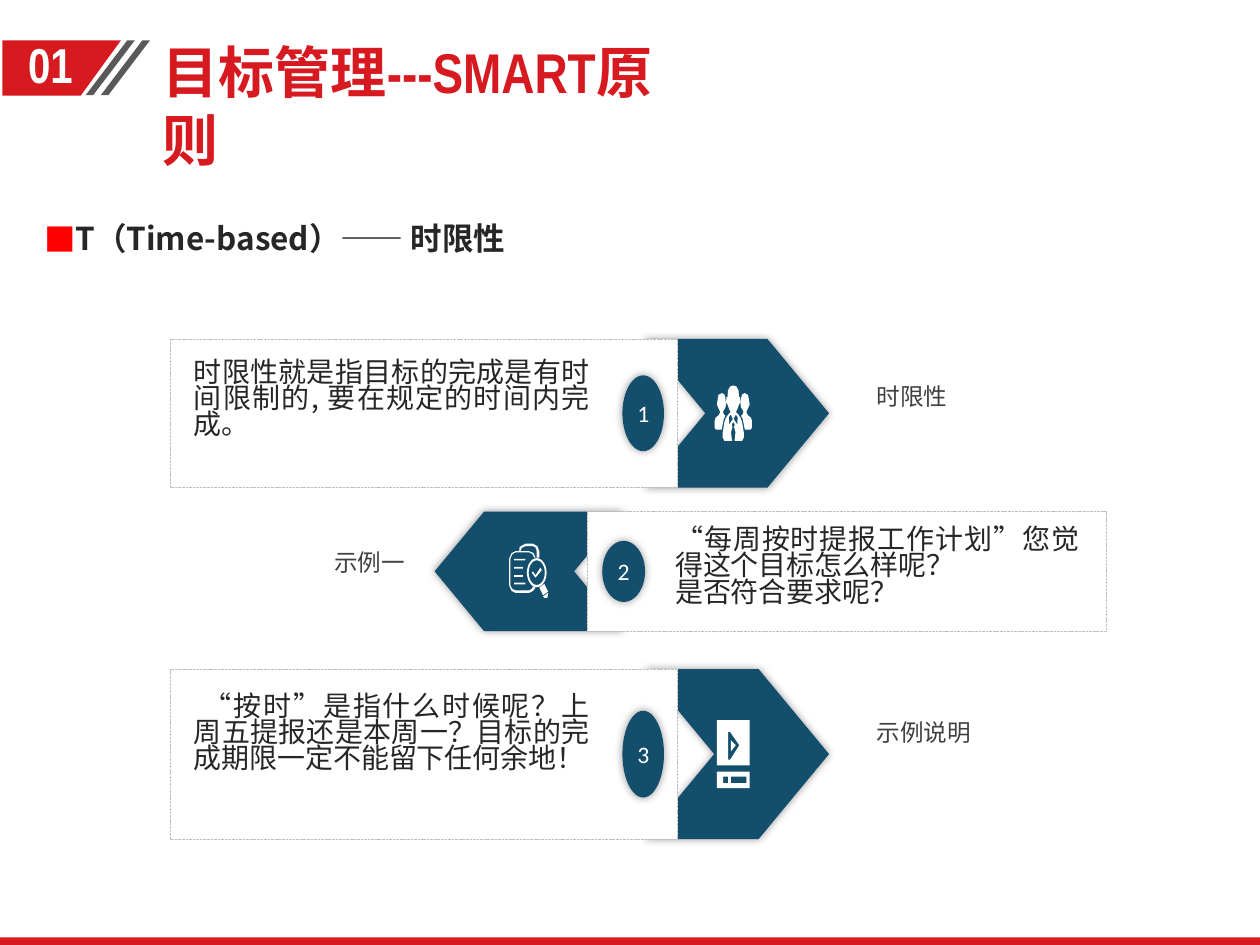
import math
from dataclasses import dataclass

from pptx import Presentation, util as u
from pptx.dml.color import RGBColor
from pptx.enum import dml, shapes, text
from pptx.oxml import parse_xml
from pptx.oxml.ns import nsdecls

SHAPE = shapes.MSO_SHAPE
ALIGN = text.PP_ALIGN


@dataclass(frozen=True)
class Theme:
    red: str = "D71920"
    bullet: str = "FF0000"
    navy: str = "134E6C"
    stripe: str = "595959"
    ink: str = "262626"
    label_ink: str = "404040"
    border: str = "BFBFBF"
    white: str = "FFFFFF"
    heading_font: str = "Arial Narrow"
    body_font: str = "Noto Sans CJK SC"
    badge_font: str = "Calibri"
    title_size: float = 32
    section_size: float = 28
    topic_size: float = 18
    body_size: float = 16
    label_size: float = 13.5


@dataclass(frozen=True)
class RowLayout:
    chevron: tuple
    card: tuple
    badge: tuple
    body: tuple
    label: tuple
    icon_x: float
    label_align: ALIGN
    flipped: bool


POINTS_RIGHT = RowLayout((5.11, 1.47), (1.35, 4.03), (4.94, 0.33), (1.44, 3.34),
                         (6.86, 1.92), 5.82, ALIGN.LEFT, False)
POINTS_LEFT = RowLayout((3.45, 1.5), (4.66, 4.12), (4.78, 0.34), (5.26, 3.41),
                        (1.35, 1.96), 4.2, ALIGN.RIGHT, True)


def box(left, top, right, bottom):
    return [(left, top), (right, top), (right, bottom), (left, bottom)]


def ellipse(x, y, radius_x, radius_y, steps=32):
    angles = [2 * math.pi * step / steps for step in range(steps)]
    return [(x + radius_x * math.cos(a), y + radius_y * math.sin(a)) for a in angles]


def mirror(points):
    return [(-x, y) for x, y in reversed(points)]


def people_icon():
    leader = [(0, -220), (25, -212), (42, -180), (46, -130), (55, -125), (56, -85),
              (44, -65), (30, -25), (20, -10), (40, 10), (60, 40), (70, 70), (85, 160),
              (85, 190), (70, 220), (10, 220), (18, 150), (6, 110), (12, 90), (0, 70)]
    collar = [(20, 10), (3, 45), (32, 90), (35, 30)]
    colleague = [(90, -160), (118, -145), (125, -100), (130, -70), (120, -45),
                 (108, -20), (104, -5), (120, 20), (140, 35), (148, 60), (148, 115),
                 (138, 130), (92, 130), (75, 45), (62, 20), (78, 5), (80, -15),
                 (62, -45), (58, -70), (62, -120), (70, -148)]
    return [leader + mirror(leader), collar, mirror(collar), colleague, mirror(colleague)]


def checklist_icon():
    clipboard = [(30, 120), (50, 130), (30, 155), (0, 170), (-110, 170), (-140, 155),
                 (-160, 110), (-160, -100), (-140, -145), (-110, -160), (-80, -160),
                 (-75, -195), (-30, -220), (30, -220), (65, -200), (80, -160),
                 (80, -110), (60, -110), (60, -160), (50, -190), (30, -200),
                 (-30, -200), (-60, -185), (-70, -160), (0, -160), (35, -145),
                 (50, -110), (40, -110), (25, -138), (0, -150), (-110, -150),
                 (-135, -135), (-150, -100), (-150, 110), (-135, 138), (-110, 150),
                 (0, 150), (20, 140)]
    handle = [(120, 100), (80, 130), (110, 190), (150, 160)]
    cap = [(150, 170), (110, 200), (125, 212), (145, 210)]
    check = [(50, 30), (30, 0), (20, 10), (50, 50), (100, -10), (90, -30)]
    lines = [box(-120, top, right, top + 13)
             for top, right in ((-100, -30), (-35, -50), (30, -50), (90, -30))]
    return [clipboard, ellipse(60, 10, 78, 115), ellipse(60, 10, 64, 98),
            handle, cap, check, *lines]


def player_icon():
    return [box(-130, -270, 130, 90), [(-40, -175), (-25, -175), (48, -70), (-25, 45), (-40, 45)],
            [(-20, -110), (20, -70), (-20, -20)], box(-130, 140, 130, 270),
            box(-20, 180, 105, 230), box(-80, 180, -40, 230)]


class SlideBuilder:
    """Draws styled elements on the current slide."""

    def __init__(self, slide, theme):
        self.slide, self.theme = slide, theme
        self.shapes = slide.shapes

    def place(self, shape, left, top, width, height):
        shape.left, shape.top = u.Inches(left), u.Inches(top)
        shape.width, shape.height = u.Inches(width), u.Inches(height)

    def set_text(self, shape, content, font, size, color, bold=False, align=ALIGN.LEFT,
                 spacing=None, anchor=text.MSO_ANCHOR.TOP):
        frame = shape.text_frame
        frame.text = content
        frame.word_wrap = True
        frame.auto_size = text.MSO_AUTO_SIZE.NONE
        frame.vertical_anchor = anchor
        for paragraph in frame.paragraphs:
            paragraph.alignment = align
            paragraph.space_before = u.Pt(0)
            if spacing:
                paragraph.line_spacing = u.Pt(spacing)
            for run in paragraph.runs:
                run.font.name, run.font.size, run.font.bold = font, u.Pt(size), bold
                run.font.color.rgb = RGBColor.from_string(color)
                run.font._element.append(parse_xml(
                    f'<a:ea {nsdecls("a")} typeface="{self.theme.body_font}"/>'))

    def text_box(self, area, content, *style, **options):
        shape = self.shapes.add_textbox(*map(u.Inches, area))
        self.set_text(shape, content, *style, **options)

    def fill(self, shape, color):
        shape.shadow.inherit = False
        shape.fill.solid()
        shape.fill.fore_color.rgb = RGBColor.from_string(color)
        shape.line.fill.background()

    def preset(self, kind, area, color, glow=False):
        shape = self.shapes.add_shape(kind, *map(u.Inches, area))
        self.fill(shape, color)
        if glow:
            shape._element.spPr.find(".//{*}effectLst").append(parse_xml(
                f'<a:outerShdw {nsdecls("a")} blurRad="{u.Pt(5)}" dist="0" dir="0">'
                '<a:srgbClr val="000000"><a:alpha val="40000"/></a:srgbClr></a:outerShdw>'))
        return shape

    def outline(self, contours, color, x=0, y=0):
        """Draw closed contours given in thousandths of an inch around x, y."""
        builder = self.shapes.build_freeform(*contours[0][0], scale=u.Inches(1) / 1000)
        for index, contour in enumerate(contours):
            if index:
                builder.move_to(*contour[0])
            builder.add_line_segments(contour[1:], close=True)
        self.fill(builder.convert_to_shape(u.Inches(x), u.Inches(y)), color)

    def title(self, area, content):
        shape = self.slide.shapes.title
        self.place(shape, *area)
        self.set_text(shape, content, self.theme.heading_font, self.theme.title_size,
                      self.theme.red, bold=True)

    def topic(self, area, content):
        shape = self.slide.placeholders[1]
        self.place(shape, *area)
        self.set_text(shape, content, self.theme.body_font, self.theme.topic_size,
                      self.theme.ink, bold=True)
        properties = shape.text_frame.paragraphs[0]._p.get_or_add_pPr()
        properties.set("marL", str(u.Inches(0.23)))
        properties.set("indent", str(u.Inches(-0.23)))
        for tag in (f'buClr {nsdecls("a")}><a:srgbClr val="{self.theme.bullet}"/></a:buClr',
                    f'buFont {nsdecls("a")} typeface="{self.theme.body_font}"/',
                    f'buChar {nsdecls("a")} char="■"/'):
            properties.append(parse_xml(f"<a:{tag}>"))

    def row(self, layout, number, top, height, body_top, content, label, icon):
        theme = self.theme
        self.shapes = self.slide.shapes.add_group_shape().shapes

        def band(span, share=1):
            return span[0], top + height * (1 - share) / 2, span[1], height * share

        chevron = self.preset(SHAPE.CHEVRON, band(layout.chevron), theme.navy, glow=True)
        chevron.adjustments[0] = 0.414
        if layout.flipped:
            chevron._element.spPr.xfrm.set("flipH", "1")
        card = self.preset(SHAPE.RECTANGLE, band(layout.card), theme.white)
        card.line.color.rgb = RGBColor.from_string(theme.border)
        card.line.width = u.Pt(0.5)
        card.line.dash_style = dml.MSO_LINE.SQUARE_DOT
        badge = self.preset(SHAPE.OVAL, band(layout.badge, 0.51), theme.navy, glow=True)
        frame = badge.text_frame
        frame.margin_left = frame.margin_right = u.Inches(0.07)
        frame.margin_top = frame.margin_bottom = u.Inches(0.04)
        self.set_text(badge, str(number), theme.badge_font, theme.label_size, theme.white,
                      align=ALIGN.CENTER, anchor=text.MSO_ANCHOR.MIDDLE)
        self.outline(icon, theme.white, layout.icon_x, top + height / 2)
        self.text_box((layout.body[0], body_top, layout.body[1], 0.73), content,
                      theme.body_font, theme.body_size, theme.ink,
                      align=ALIGN.JUSTIFY, spacing=15)
        self.text_box(band(layout.label, 0.5), label, theme.body_font,
                      theme.label_size, theme.label_ink, align=layout.label_align)
        self.shapes = self.slide.shapes


def main():
    presentation = Presentation()
    presentation.slide_width, presentation.slide_height = u.Inches(10), u.Inches(7.5)
    slide = presentation.slides.add_slide(presentation.slide_layouts[1])
    theme = Theme()
    builder = SlideBuilder(slide, theme)

    builder.title((1.19, 0.25, 4.35, 1.18), "目标管理---SMART原则")
    builder.outline([[(20, 320), (960, 320), (640, 760), (20, 760)]], theme.red)
    for left in (680, 800):
        builder.outline([[(left, 755), (left + 330, 320), (left + 390, 320),
                          (left + 60, 755)]], theme.stripe)
    builder.text_box((-0.1, 0.41, 1, 0.38), "01", theme.heading_font, theme.section_size,
                     theme.white, bold=True, align=ALIGN.CENTER, spacing=20)
    builder.preset(SHAPE.RECTANGLE, (0, 7.44, 10, 0.06), theme.red)
    builder.topic((0.25, 1.69, 4.05, 0.4), "T（Time-based）—— 时限性")

    rows = (
        (POINTS_RIGHT, 1, 2.69, 1.18, 2.82,
         "时限性就是指目标的完成是有时间限制的, 要在规定的时间内完成。", "时限性", people_icon()),
        (POINTS_LEFT, 2, 4.06, 0.95, 4.15,
         "“每周按时提报工作计划”您觉得这个目标怎么样呢？\n是否符合要求呢？", "示例一", checklist_icon()),
        (POINTS_RIGHT, 3, 5.31, 1.35, 5.47,
         " “按时”是指什么时候呢？上周五提报还是本周一？目标的完成期限一定不能留下任何余地！",
         "示例说明", player_icon()),
    )
    for row in rows:
        builder.row(*row)
    presentation.save("out.pptx")


if __name__ == "__main__":
    main()
